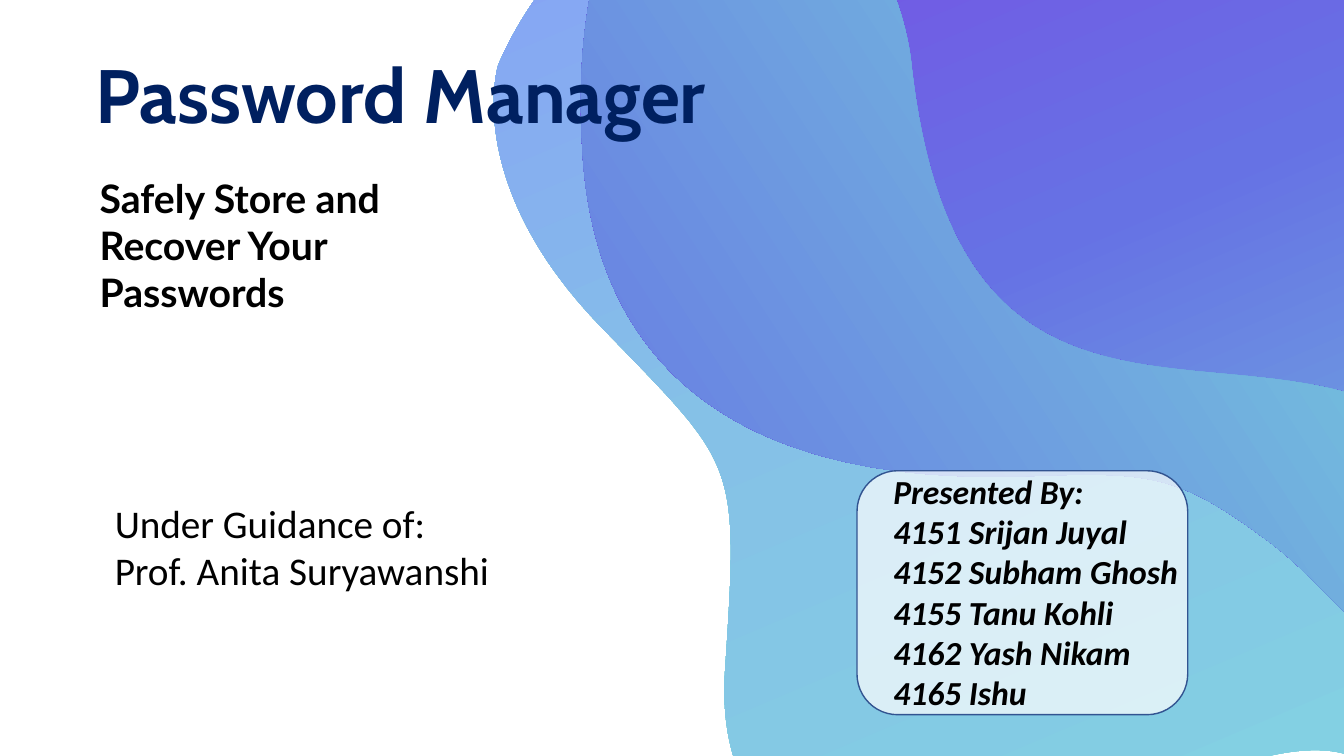
from copy import deepcopy
from dataclasses import dataclass
from math import cos, radians, sin

from lxml.etree import SubElement
from pptx import Presentation
from pptx.dml.color import RGBColor
from pptx.enum.shapes import MSO_SHAPE as Preset
from pptx.enum.text import MSO_AUTO_SIZE as AutoSize
from pptx.oxml.ns import qn
from pptx.util import Inches, Pt

COLUMNS, ROWS = 13.33, 7.5
CELL = Inches(1)
TURN = 157
Point = tuple[float, float]


@dataclass(frozen=True)
class Wave:
    place: tuple[float, float, float, float]
    start: Point
    curves: list[tuple[float, ...]]
    stops: list[tuple[float, str]]
    angle: float


WAVES = [
    Wave((5.31, -2.57, 9.49, 12.6), (9.2, 0.95), [
        (9.71, 5.45, 12.9, 3.04, 14.67, 4.85),
        (16.44, 6.65, 15.81, 8, 15.28, 8.29),
        (14.75, 8.58, 14.29, 8.55, 13.74, 7.76),
        (13.2, 6.96, 11.53, 7.85, 10.38, 8.45),
        (9.23, 9.05, 7.06, 8.82, 7.19, 6.67),
        (7.33, 4.53, 7.32, 4.65, 5.95, 3.23),
        (4.58, 1.81, 4.94, 0.65, 4.94, 0.65),
        (4.94, 0.65, 5.68, -1.26, 7.37, -1.09),
        (9.06, -0.92, 9.2, 0.95, 9.2, 0.95),
    ], [(0, "80DEDE"), (0.54, "85C1E7"), (1, "878CFF")], 90),
    Wave((5.52, -3.21, 9.58, 11.76), (7.32, -1.97), [
        (7.32, -1.97, 5.56, -1.7, 5.78, 1.56),
        (6.01, 4.81, 9.18, 4.76, 10.31, 4.72),
        (11.44, 4.68, 11.72, 4.72, 12.62, 5.4),
        (13.52, 6.09, 14.13, 7.44, 15.28, 6.14),
        (16.43, 4.85, 14.26, 3.47, 13.96, 2.9),
        (13.66, 2.33, 14.22, 0.88, 13.71, 0.32),
        (13.2, -0.24, 12.86, -0.91, 10.49, -0.71),
        (10.49, -0.71, 9.33, -0.33, 8.44, -1.57),
        (8.44, -1.57, 7.88, -2.25, 7.32, -1.97),
    ], [(0, "7CEFD8"), (0.51, "6672E4"), (1, "882BE5")], 90),
    Wave((5.7, -2.29, 8.28, 11.07), (5.78, 1.56), [
        (5.68, 0.08, 5.99, -0.78, 6.35, -1.29),
        (6.6, -1.38, 6.89, -1.42, 7.21, -1.39),
        (8.9, -1.22, 9.04, 0.65, 9.04, 0.65),
        (9.55, 5.15, 12.74, 2.74, 14.51, 4.55),
        (14.98, 5.03, 15.29, 5.49, 15.46, 5.89),
        (15.42, 5.98, 15.35, 6.06, 15.28, 6.14),
        (14.13, 7.44, 13.52, 6.09, 12.62, 5.4),
        (11.72, 4.72, 11.44, 4.68, 10.31, 4.72),
        (9.18, 4.76, 6.01, 4.81, 5.78, 1.56),
    ], [(0, "882BE5"), (0.19, "6672E4"), (1, "7CEFD8")], 170),
]


def cells(*counts: float) -> list[int]:
    return [round(count * CELL) for count in counts]


def colour(value: str) -> RGBColor:
    return RGBColor.from_string(value)


def unturn(point: Point, centre: Point) -> tuple[int, ...]:
    x, y = point[0] - centre[0], point[1] - centre[1]
    turn = radians(-TURN)
    return tuple(cells(centre[0] + x * cos(turn) - y * sin(turn),
                       centre[1] + x * sin(turn) + y * cos(turn)))


def bend(shape, place: list[int]) -> None:
    left, top, width, height = place
    outline = shape._element.spPr.find(".//" + qn("a:path"))
    for spot in outline.iter(qn("a:pt")):
        spot.set("x", str(int(spot.get("x")) + shape.left - left))
        spot.set("y", str(int(spot.get("y")) + shape.top - top))
    outline.set("w", str(width))
    outline.set("h", str(height))
    lines = outline.findall(qn("a:lnTo"))
    for first, second, third in zip(lines[::3], lines[1::3], lines[2::3]):
        curve = outline.makeelement(qn("a:cubicBezTo"))
        first.addprevious(curve)
        for line in (first, second, third):
            curve.append(line[0])
            outline.remove(line)
    shape.left, shape.top, shape.width, shape.height = place


def draw_wave(page, wave: Wave) -> None:
    left, top, width, height = wave.place
    centre = left + width / 2, top + height / 2
    points = [unturn(curve[index:index + 2], centre)
              for curve in wave.curves for index in (0, 2, 4)]
    builder = page.shapes.build_freeform(*unturn(wave.start, centre))
    builder.add_line_segments(points, close=True)
    shape = builder.convert_to_shape()
    bend(shape, cells(*wave.place))
    shape.rotation = TURN
    shape.shadow.inherit = False
    shape.line.fill.background()
    shape.fill.gradient()
    shape.fill.gradient_angle = 360 - wave.angle
    stop_list = shape._element.spPr.find(".//" + qn("a:gsLst"))
    stop_list.append(deepcopy(stop_list[0]))
    for stop, (position, value) in zip(shape.fill.gradient_stops, wave.stops):
        stop.position = position
        stop.color.rgb = colour(value)


def draw_panel(page) -> None:
    panel = page.shapes.add_shape(Preset.ROUNDED_RECTANGLE, *cells(8.5, 4.67, 3.28, 2.42))
    panel.shadow.inherit = False
    panel.fill.solid()
    panel.fill.fore_color.rgb = colour("FFFFFF")
    tint = panel._element.spPr.find(qn("a:solidFill"))[0]
    SubElement(tint, qn("a:alpha")).set("val", "70000")
    panel.line.color.rgb = colour("325491")
    panel.line.width = Pt(1)


def draw_text(page, text: str, *, place: tuple[float, ...], size: float,
              font: str = "Calibri", ink: str = "000000", bold: bool = False,
              italic: bool = False, wrap: bool = True, padded: bool = True) -> None:
    box = page.shapes.add_textbox(*cells(*place))
    frame = box.text_frame
    frame.word_wrap = wrap
    frame.auto_size = AutoSize.SHAPE_TO_FIT_TEXT
    if not padded:
        frame.margin_left = frame.margin_right = frame.margin_top = frame.margin_bottom = 0
    frame.text = text
    for para in frame.paragraphs:
        for span in para.runs:
            span.font.name = font
            span.font.size = Pt(size)
            span.font.bold = bold
            span.font.italic = italic
            span.font.color.rgb = colour(ink)


def main() -> None:
    deck = Presentation()
    deck.slide_width, deck.slide_height = cells(COLUMNS, ROWS)
    page = deck.slides.add_slide(deck.slide_layouts[6])
    for wave in WAVES:
        draw_wave(page, wave)
    draw_panel(page)
    presenters = ["Presented By:", "4151 Srijan Juyal", "4152 Subham Ghosh",
                  "4155 Tanu Kohli", "4162 Yash Nikam", "4165 Ishu"]
    draw_text(page, "\n".join(presenters), place=(8.86, 4.67, 2.92, 2.42), size=24,
              bold=True, italic=True, padded=False)
    draw_text(page, "Under Guidance of:\nProf. Anita Suryawanshi",
              place=(1.04, 4.9, 3.96, 1.04), size=28, wrap=False)
    draw_text(page, "Safely Store and Recover Your Passwords",
              place=(0.89, 1.68, 4.21, 1.04), size=28, font="Lato", bold=True)
    draw_text(page, "Password Manager", place=(0.95, 0.48, 7.28, 0.91), size=54,
              font="Cabin", ink="002060", bold=True, padded=False)
    deck.save("out.pptx")


if __name__ == "__main__":
    main()
